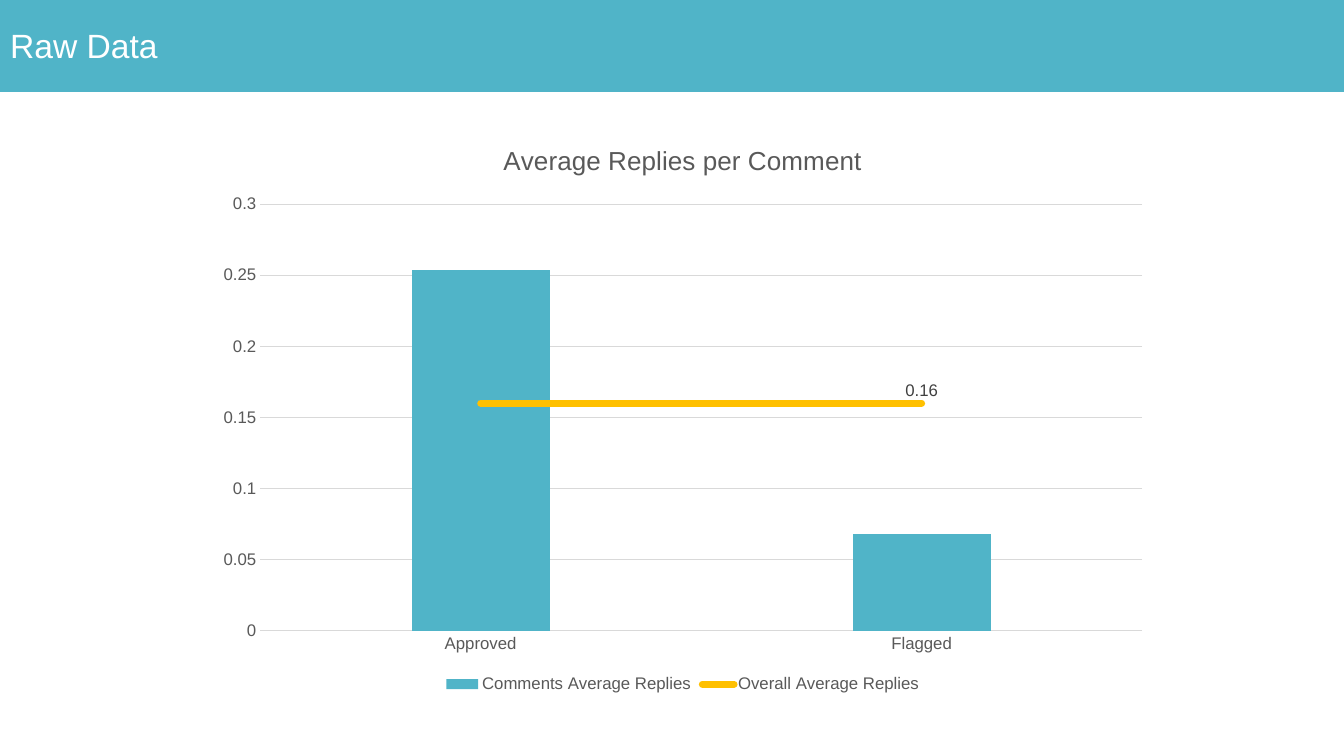
from lxml.etree import SubElement
from pptx import Presentation
from pptx.chart.data import CategoryChartData
from pptx.dml.color import RGBColor
from pptx.enum.chart import (XL_CHART_TYPE, XL_LABEL_POSITION, XL_LEGEND_POSITION,
                             XL_MARKER_STYLE, XL_TICK_MARK)
from pptx.enum.text import MSO_ANCHOR, PP_ALIGN
from pptx.oxml import parse_xml
from pptx.oxml.ns import nsdecls, qn
from pptx.util import Pt

TITLE = "Raw Data"
CHART_TITLE = "Average Replies per Comment"
CATEGORIES = ["Approved", "Flagged"]
SERIES = {
    "Comments Average Replies": [0.254, 0.068],
    "Overall Average Replies": [0.16, 0.16],
}
SLIDE = (960, 540)
BANNER = (0, 0, 960, 65)
CHART = (146, 87, 683.5, 411)
THEME = {
    "font": "Arial",
    "teal": "50B4C8", "gold": "FFC000", "white": "FFFFFF",
    "text": "595959", "label": "404040", "grid": "D9D9D9",
    "title": 24, "chart_title": 18.6, "body": 12,
}


def style(font, size, color):
    """Apply a theme size and colour to a font."""
    font.name = THEME["font"]
    font.size = Pt(THEME[size])
    font.bold = False
    font.color.rgb = RGBColor.from_string(THEME[color])


def paint(fill, color):
    """Fill with one theme colour."""
    fill.solid()
    fill.fore_color.rgb = RGBColor.from_string(THEME[color])


def stroke(line, color, width):
    """Draw a line in one theme colour."""
    paint(line.fill, color)
    line.width = Pt(width)


def add_banner(s):
    """Turn the title placeholder into the banner."""
    sp = s.shapes.title
    sp.left, sp.top, sp.width, sp.height = map(Pt, BANNER)
    paint(sp.fill, "teal")
    stroke(sp.line, "teal", 1)
    tf = sp.text_frame
    tf.vertical_anchor = MSO_ANCHOR.MIDDLE
    p = tf.paragraphs[0]
    p.alignment = PP_ALIGN.LEFT
    r = p.add_run()
    r.text = TITLE
    style(r.font, "title", "white")


def split_line(chart):
    """Move the last column series to a line plot on the same axes."""
    bars = chart.plots[0]
    bar_xml = chart.element.find(".//" + qn("c:barChart"))
    ser = bar_xml.findall(qn("c:ser"))[-1]
    for flag in ser.findall(qn("c:invertIfNegative")):
        ser.remove(flag)
    line_xml = parse_xml(f'<c:lineChart {nsdecls("c")}><c:grouping val="standard"/>'
                         '<c:varyColors val="0"/></c:lineChart>')
    line_xml.append(ser)
    SubElement(line_xml, qn("c:marker")).set("val", "1")
    for axis in bar_xml.findall(qn("c:axId")):
        SubElement(line_xml, qn("c:axId")).set("val", axis.get("val"))
    bar_xml.addnext(line_xml)
    return bars, chart.plots[1], ser


def add_chart(s):
    """Add the column chart with the overall average line."""
    data = CategoryChartData()
    data.categories = CATEGORIES
    for name, values in SERIES.items():
        data.add_series(name, values)
    chart = s.shapes.add_chart(XL_CHART_TYPE.COLUMN_CLUSTERED, *map(Pt, CHART), data).chart
    style(chart.font, "body", "text")

    chart.has_title = True
    r = chart.chart_title.text_frame.paragraphs[0].add_run()
    r.text = CHART_TITLE
    style(r.font, "chart_title", "text")

    chart.has_legend = True
    chart.legend.position = XL_LEGEND_POSITION.BOTTOM
    chart.legend.include_in_layout = False
    style(chart.legend.font, "body", "text")

    cat, val = chart.category_axis, chart.value_axis
    for axis in (cat, val):
        axis.major_tick_mark = axis.minor_tick_mark = XL_TICK_MARK.NONE
        style(axis.tick_labels.font, "body", "text")
    stroke(cat.format.line, "grid", 0.75)
    val.format.line.fill.background()
    val.minimum_scale, val.maximum_scale, val.major_unit = 0, 0.3, 0.05
    stroke(val.major_gridlines.format.line, "grid", 0.75)

    bars, lines, ser = split_line(chart)
    bars.gap_width = 219
    bars.vary_by_categories = False
    paint(bars.series[0].format.fill, "teal")

    average = lines.series[0]
    average.smooth = False
    average.marker.style = XL_MARKER_STYLE.NONE
    stroke(average.format.line, "gold", 5)
    ser.find(qn("c:spPr")).find(qn("a:ln")).set("cap", "rnd")
    average.data_labels.show_value = False
    label = average.points[1].data_label
    style(label.font, "body", "label")
    label.position = XL_LABEL_POSITION.ABOVE


def main():
    """Build and save the slide."""
    prs = Presentation()
    prs.slide_width, prs.slide_height = map(Pt, SLIDE)
    s = prs.slides.add_slide(prs.slide_layouts[5])
    add_banner(s)
    add_chart(s)
    prs.save("out.pptx")


if __name__ == "__main__":
    main()
